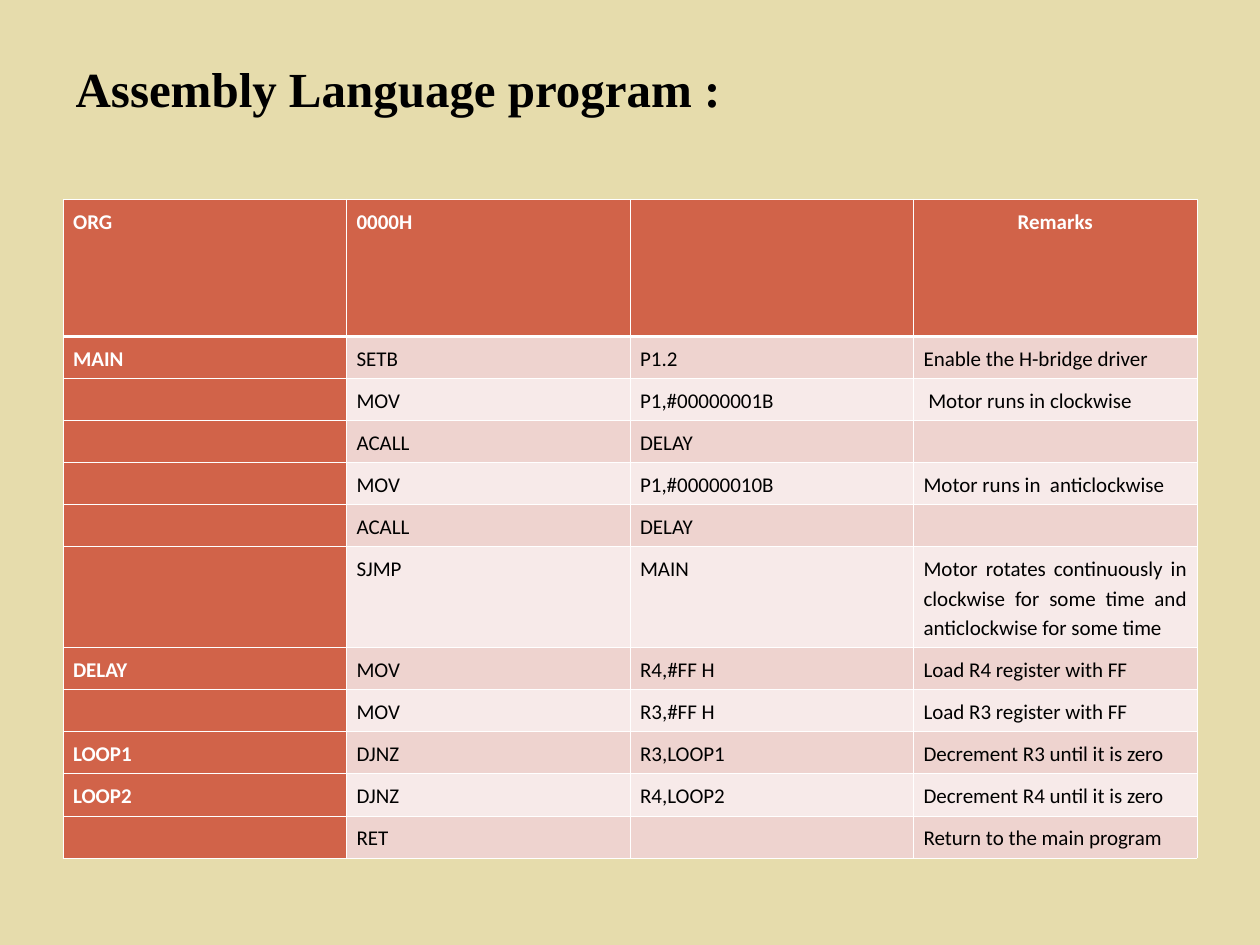
from lxml import etree
from pptx import Presentation
from pptx.dml.color import RGBColor
from pptx.enum.text import MSO_ANCHOR, MSO_AUTO_SIZE, PP_ALIGN
from pptx.oxml.ns import qn
from pptx.util import Inches, Pt

LEFT, CENTER, JUST = PP_ALIGN.LEFT, PP_ALIGN.CENTER, PP_ALIGN.JUSTIFY
MIDDLE, NO_FIT = MSO_ANCHOR.MIDDLE, MSO_AUTO_SIZE.NONE

SAND = RGBColor(0xE6, 0xDC, 0xAC)
RUST = RGBColor(0xD1, 0x63, 0x49)
ROSE = RGBColor(0xEE, 0xD3, 0xCF)
PALE = RGBColor(0xF7, 0xEA, 0xE9)
WHITE = RGBColor(0xFF, 0xFF, 0xFF)
BLACK = RGBColor(0, 0, 0)

HEAD_FONT = {"name": "Times New Roman", "size": Pt(28), "bold": True}
CELL_FONT = {"name": "Calibri", "size": Pt(12)}
SPACING = {"line_spacing": 1.15, "space_after": Pt(10)}
INSETS = {"margin_left": Inches(0.08), "margin_right": Inches(0.08),
          "margin_top": Inches(0.05), "margin_bottom": Inches(0.05)}
THIN, THICK = Pt(0.45), Pt(1.47)

# Label, opcode, operand, remark
CODE = [
    ("ORG", "0000H", "", "Remarks"),
    ("MAIN", "SETB", "P1.2", "Enable the H-bridge driver"),
    ("", "MOV", "P1,#00000001B", " Motor runs in clockwise"),
    ("", "ACALL", "DELAY", ""),
    ("", "MOV", "P1,#00000010B", "Motor runs in  anticlockwise"),
    ("", "ACALL", "DELAY", ""),
    ("", "SJMP", "MAIN", "Motor rotates continuously in clockwise for some "
                         "time and anticlockwise for some time"),
    ("DELAY", "MOV", "R4,#FF H", "Load R4 register with FF"),
    ("", "MOV", "R3,#FF H", "Load R3 register with FF"),
    ("LOOP1", "DJNZ", "R3,LOOP1", "Decrement R3 until it is zero"),
    ("LOOP2", "DJNZ", "R4,LOOP2", "Decrement R4 until it is zero"),
    ("", "RET", "", "Return to the main program"),
]
HEIGHTS = [1.09] + [0.29] * 5 + [0.69] + [0.29] * 2 + [0.23] * 3
ALIGNS = {(0, 3): CENTER, (4, 3): LEFT}


def apply(item, values):
    for name, value in values.items():
        setattr(item, name, value)


def add_title(slide, text):
    title = slide.shapes.title
    apply(title, {"left": Inches(0.5), "top": Inches(0.3),
                  "width": Inches(5.58), "height": Inches(1.25)})
    frame = title.text_frame
    # The deep bottom margin lifts the line above the middle
    apply(frame, {"text": text, "word_wrap": True, "auto_size": NO_FIT,
                  "vertical_anchor": MIDDLE, "margin_bottom": Inches(0.5)})
    line = frame.paragraphs[0]
    line.alignment = LEFT
    font = line.runs[0].font
    apply(font, HEAD_FONT)
    font.color.rgb = BLACK


def add_edge(cell, side, width):
    edge = etree.SubElement(cell._tc.get_or_add_tcPr(), qn(f"a:ln{side}"),
                            w=str(int(width)))
    fill = etree.SubElement(edge, qn("a:solidFill"))
    etree.SubElement(fill, qn("a:srgbClr"), val=str(WHITE))


def fill_cell(cell, text, row, col):
    # Borders go before the fill; the rule under the header is thick
    widths = {"L": THIN, "R": THIN, "T": THICK if row == 1 else THIN,
              "B": THICK if row == 0 else THIN}
    for side, width in widths.items():
        add_edge(cell, side, width)
    head = row == 0 or col == 0
    cell.fill.solid()
    cell.fill.fore_color.rgb = RUST if head else ROSE if row % 2 else PALE
    apply(cell, INSETS)

    line = cell.text_frame.paragraphs[0]
    apply(line, SPACING)
    line.alignment = ALIGNS.get((row, col), JUST)
    if not text:
        # Keeps an empty cell as low as its row
        line._p.get_or_add_endParaRPr().set("sz", "1200")
        return
    run = line.add_run()
    run.text = text
    apply(run.font, CELL_FONT)
    run.font.bold = head
    run.font.color.rgb = WHITE if head else BLACK


def add_code(slide):
    count = len(CODE[0])
    table = slide.shapes.add_table(
        len(CODE), count, Inches(0.5), Inches(1.58),
        Inches(9), Inches(sum(HEIGHTS))).table
    table.first_col = True
    for column in table.columns:
        column.width = Inches(9 / count)
    for row, (texts, height) in enumerate(zip(CODE, HEIGHTS)):
        table.rows[row].height = Inches(height)
        for col, text in enumerate(texts):
            fill_cell(table.cell(row, col), text, row, col)


def main():
    deck = Presentation()
    deck.slide_width, deck.slide_height = Inches(10), Inches(7.5)
    slide = deck.slides.add_slide(deck.slide_layouts[5])
    back = slide.background.fill
    back.solid()
    back.fore_color.rgb = SAND
    add_title(slide, "Assembly Language program :")
    add_code(slide)
    deck.save("out.pptx")


if __name__ == "__main__":
    main()
